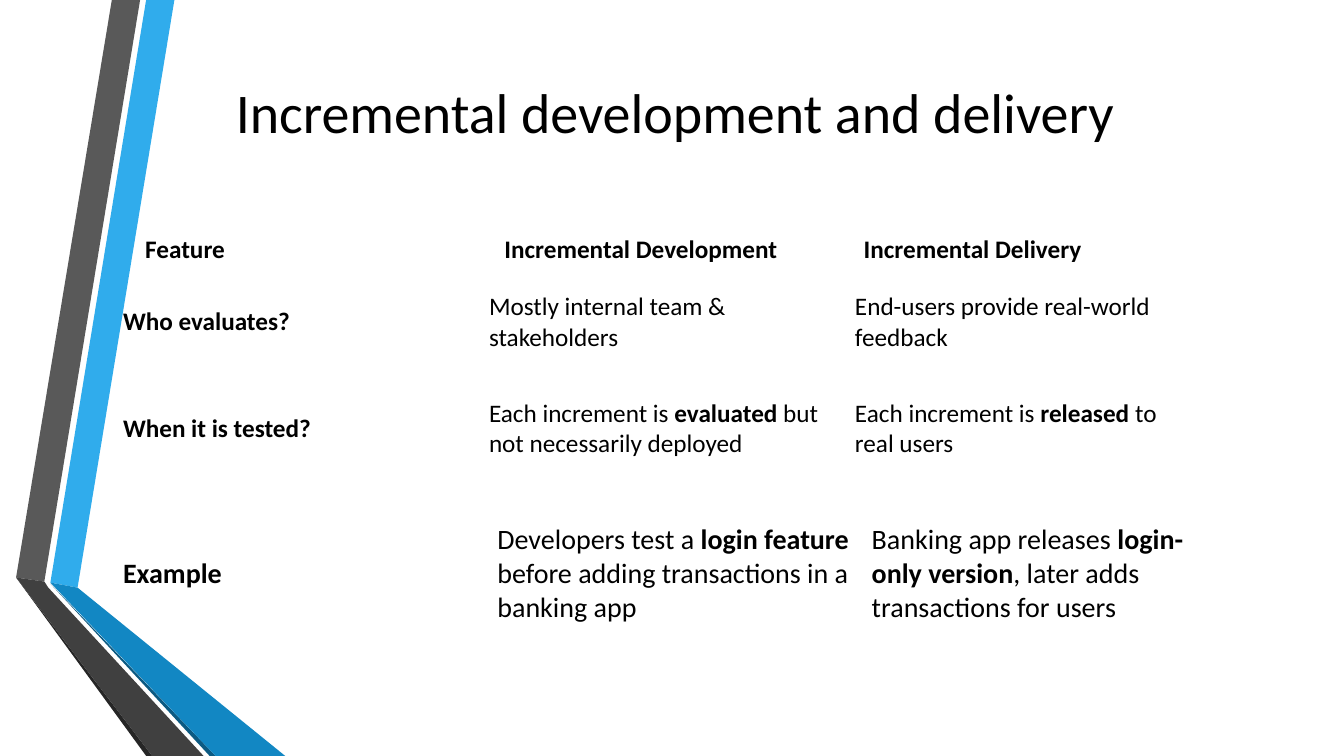
"""Build the slide that compares incremental development with incremental delivery."""
from pptx import Presentation
from pptx import util as u
from pptx.dml.color import RGBColor
from pptx.enum import text
from pptx.oxml.ns import qn

COLORS = {
    "text": "000000",
    "blue": "30ACEC",
    "blue_fold": "1287C3",
    "blue_edge": "0C5A82",
    "gray": "595959",
    "gray_fold": "404040",
    "gray_edge": "262626",
}
PLAIN_TABLE_STYLE = "{2D5ABB26-0587-4C30-8999-92F81FD0307C}"

RIBBONS = [
    ("blue", [(0.5, 5.78), (0.77, 5.83), (1.73, 0), (1.45, 0)]),
    ("gray", [(1.39, 0), (1.11, 0), (0.16, 5.73), (0.44, 5.77)]),
    ("gray_edge", [(0.16, 5.73), (1.45, 7.5), (1.51, 7.5)]),
    ("blue_edge", [(0.5, 5.79), (2.08, 7.5), (2.14, 7.5)]),
    ("blue_fold", [(0.5, 5.78), (2.14, 7.5), (2.83, 7.5), (0.77, 5.83)]),
    ("gray_fold", [(2.02, 7.5), (0.48, 5.83), (0.44, 5.77), (0.16, 5.73), (1.51, 7.5)]),
]

TABLE_ROWS = [
    (1.34, 2.28, 10.69, 0.4, 18,
     ["*Feature*", "*Incremental Development*", "*Incremental Delivery*"]),
    (1.12, 2.84, 10.89, 0.7, 18,
     ["*Who evaluates?*", "Mostly internal team & stakeholders",
      "End-users provide real-world feedback"]),
    (1.12, 3.9, 10.89, 0.7, 18,
     ["*When it is tested?*", "Each increment is *evaluated* but not necessarily deployed",
      "Each increment is *released* to real users"]),
    (1.12, 4.97, 11.14, 1.45, 20,
     ["*Example*", "Developers test a *login feature* before adding transactions in a banking app",
      "Banking app releases *login-only version*, later adds transactions for users"]),
]


def write(frame, content, size, font="Calibri", color="text", align=text.PP_ALIGN.LEFT):
    """Fill a text frame, setting the parts between asterisks in bold."""
    paragraph = frame.paragraphs[0]
    paragraph.alignment = align
    for index, part in enumerate(content.split("*")):
        if part:
            run = paragraph.add_run()
            run.text = part
            run.font.name = font
            run.font.size = u.Pt(size)
            run.font.bold = index % 2 == 1
            run.font.color.rgb = RGBColor.from_string(COLORS[color])


class SlideBuilder:
    """Hold the colours and the current slide, and add its elements."""

    def __init__(self, presentation, colors):
        """Start a slide that has only a title."""
        self.colors = colors
        self.slide = presentation.slides.add_slide(presentation.slide_layouts[5])

    def ribbon(self, color, points):
        """Draw a filled polygon without an outline."""
        corners = [(u.Inches(x), u.Inches(y)) for x, y in points]
        builder = self.slide.shapes.build_freeform(*corners[0])
        builder.add_line_segments(corners[1:], close=True)
        shape = builder.convert_to_shape()
        shape.shadow.inherit = False
        shape.fill.solid()
        shape.fill.fore_color.rgb = RGBColor.from_string(self.colors[color])
        shape.line.fill.background()

    def title(self, content, left, top, width, height):
        """Place the title in front of the ribbons."""
        shape = self.slide.shapes.title
        shape.left, shape.top = u.Inches(left), u.Inches(top)
        shape.width, shape.height = u.Inches(width), u.Inches(height)
        shape.text_frame.vertical_anchor = text.MSO_ANCHOR.MIDDLE
        write(shape.text_frame, content, 40, align=text.PP_ALIGN.CENTER)
        self.slide.shapes._spTree.append(shape._element)

    def table_row(self, left, top, width, height, size, contents):
        """Add a plain one-row table with equal columns."""
        box = [u.Inches(value) for value in (left, top, width, height)]
        table = self.slide.shapes.add_table(1, len(contents), *box).table
        table.first_row = table.horz_banding = False
        table._tbl.tblPr.find(qn("a:tableStyleId")).text = PLAIN_TABLE_STYLE
        for cell, content in zip(table.iter_cells(), contents):
            cell.fill.background()
            cell.vertical_anchor = text.MSO_ANCHOR.MIDDLE
            write(cell.text_frame, content, size)


def main():
    """Build and save the presentation."""
    presentation = Presentation()
    presentation.slide_width = u.Inches(13.33)
    presentation.slide_height = u.Inches(7.5)
    builder = SlideBuilder(presentation, COLORS)
    for color, points in RIBBONS:
        builder.ribbon(color, points)
    builder.title("Incremental development and delivery", 1.25, 0.31, 10.89, 1.59)
    for row in TABLE_ROWS:
        builder.table_row(*row)
    presentation.save("out.pptx")


if __name__ == "__main__":
    main()
